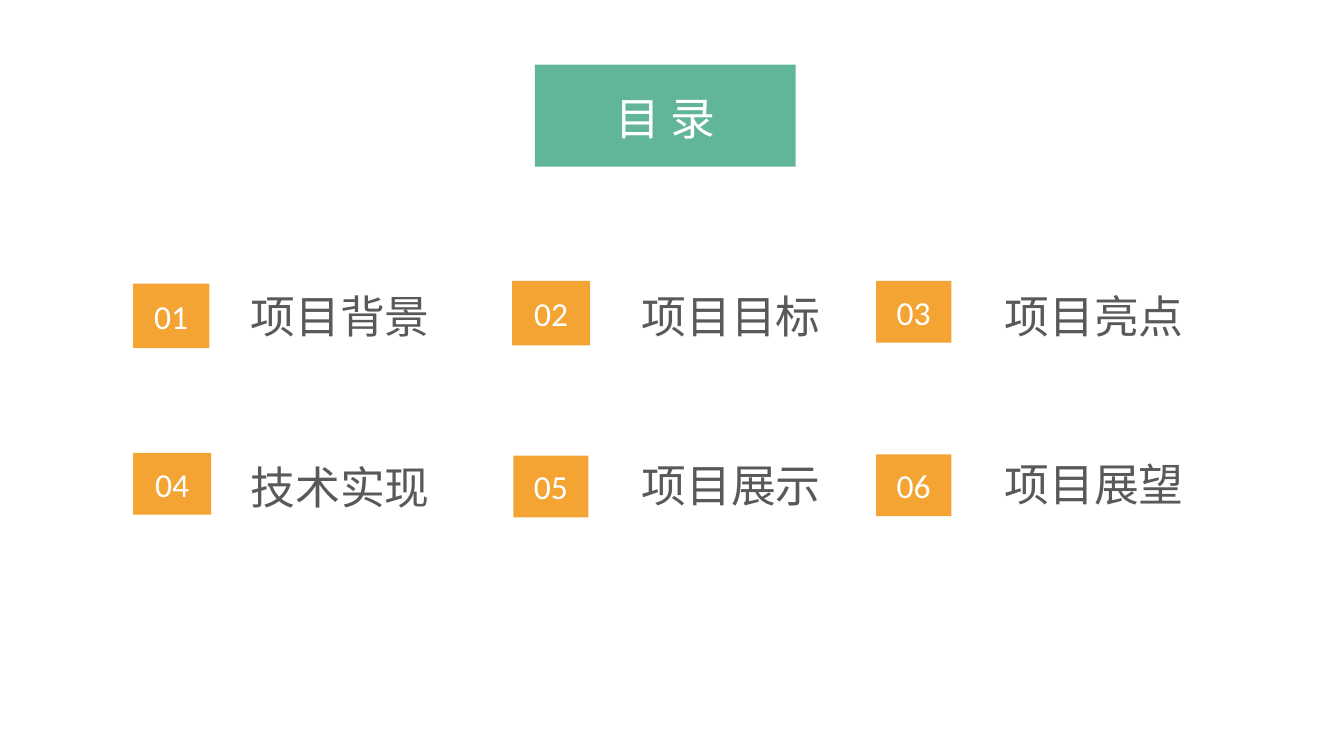
from pptx import Presentation
from pptx.dml.color import RGBColor
from pptx.enum.shapes import MSO_SHAPE as Shape
from pptx.enum.text import MSO_ANCHOR as Anchor, MSO_AUTO_SIZE as AutoSize, PP_ALIGN as Align
from pptx.oxml.ns import qn
from pptx.util import Pt

GREEN = RGBColor(0x61, 0xB6, 0x97)
ORANGE = RGBColor(0xF4, 0xA4, 0x32)
WHITE = RGBColor(0xFF, 0xFF, 0xFF)
GREY = RGBColor(0x59, 0x59, 0x59)
LATIN_FONT = "Calibri"
CHINESE_FONT = "Noto Sans CJK SC"
LABEL_LEFTS = (128.9, 338.4, 532.8)
LABEL_SIZE = (107.3, 34.6)

# Each entry: label, badge box, label top
ENTRIES = (
    ("项目背景", (71.3, 151.9, 41, 34.6), 151.9),
    ("项目目标", (274.3, 150.5, 41.8, 34.6), 151.9),
    ("项目亮点", (469.4, 150.5, 40.3, 33.1), 151.9),
    ("技术实现", (71.3, 242.6, 41.8, 33.1), 243.4),
    ("项目展示", (275, 244.1, 40.3, 33.1), 242.6),
    ("项目展望", (469.4, 243.4, 40.3, 33.1), 241.9),
)


def points(box):
    """Return the numbers of a box as lengths in points."""
    return [Pt(value) for value in box]


def write_text(shape, text, size=24, color=GREY, font=LATIN_FONT,
               align=Align.LEFT, anchor=Anchor.TOP, wrap=True, grow=False):
    """Put one formatted paragraph into a shape."""
    frame = shape.text_frame
    frame.margin_left = frame.margin_right = Pt(5.3)
    frame.margin_top = frame.margin_bottom = Pt(2.65)
    frame.vertical_anchor = anchor
    frame.word_wrap = wrap
    frame.auto_size = AutoSize.SHAPE_TO_FIT_TEXT if grow else AutoSize.NONE
    paragraph = frame.paragraphs[0]
    paragraph.alignment = align
    run = paragraph.add_run()
    run.text = text
    run.font.size = Pt(size)
    run.font.name = font
    run.font.color.rgb = color
    east_asian = run.font._element.makeelement(qn("a:ea"), {"typeface": CHINESE_FONT})
    run.font._element.find(qn("a:latin")).addnext(east_asian)


def add_block(slide, box, color):
    """Add a plain filled rectangle."""
    block = slide.shapes.add_shape(Shape.RECTANGLE, *points(box))
    block.shadow.inherit = False
    block.fill.solid()
    block.fill.fore_color.rgb = color
    block.line.fill.background()
    return block


def add_title(slide, text):
    """Place the title placeholder on its green block."""
    add_block(slide, (286.6, 34.6, 139.7, 54.7), GREEN)
    title = slide.shapes.title
    title.left, title.top, title.width, title.height = points((290.9, 46.1, 131, 34.6))
    write_text(title, text, color=WHITE, font=CHINESE_FONT, align=Align.CENTER, grow=True)
    slide.shapes.element.append(title.element)


def add_entry(slide, index, label, badge_box, label_top):
    """Add a numbered badge and the label beside it."""
    badge = add_block(slide, badge_box, ORANGE)
    write_text(badge, f"{index + 1:02}", size=18, color=WHITE,
               align=Align.CENTER, anchor=Anchor.MIDDLE)
    label_box = (LABEL_LEFTS[index % 3], label_top, *LABEL_SIZE)
    textbox = slide.shapes.add_textbox(*points(label_box))
    write_text(textbox, label, wrap=False, grow=True)


def main():
    """Build and save the contents slide."""
    presentation = Presentation()
    presentation.slide_width, presentation.slide_height = Pt(720), Pt(405)
    slide = presentation.slides.add_slide(presentation.slide_layouts.get_by_name("Title Only"))
    add_title(slide, "目 录")
    for index, entry in enumerate(ENTRIES):
        add_entry(slide, index, *entry)
    presentation.save("out.pptx")


if __name__ == "__main__":
    main()
